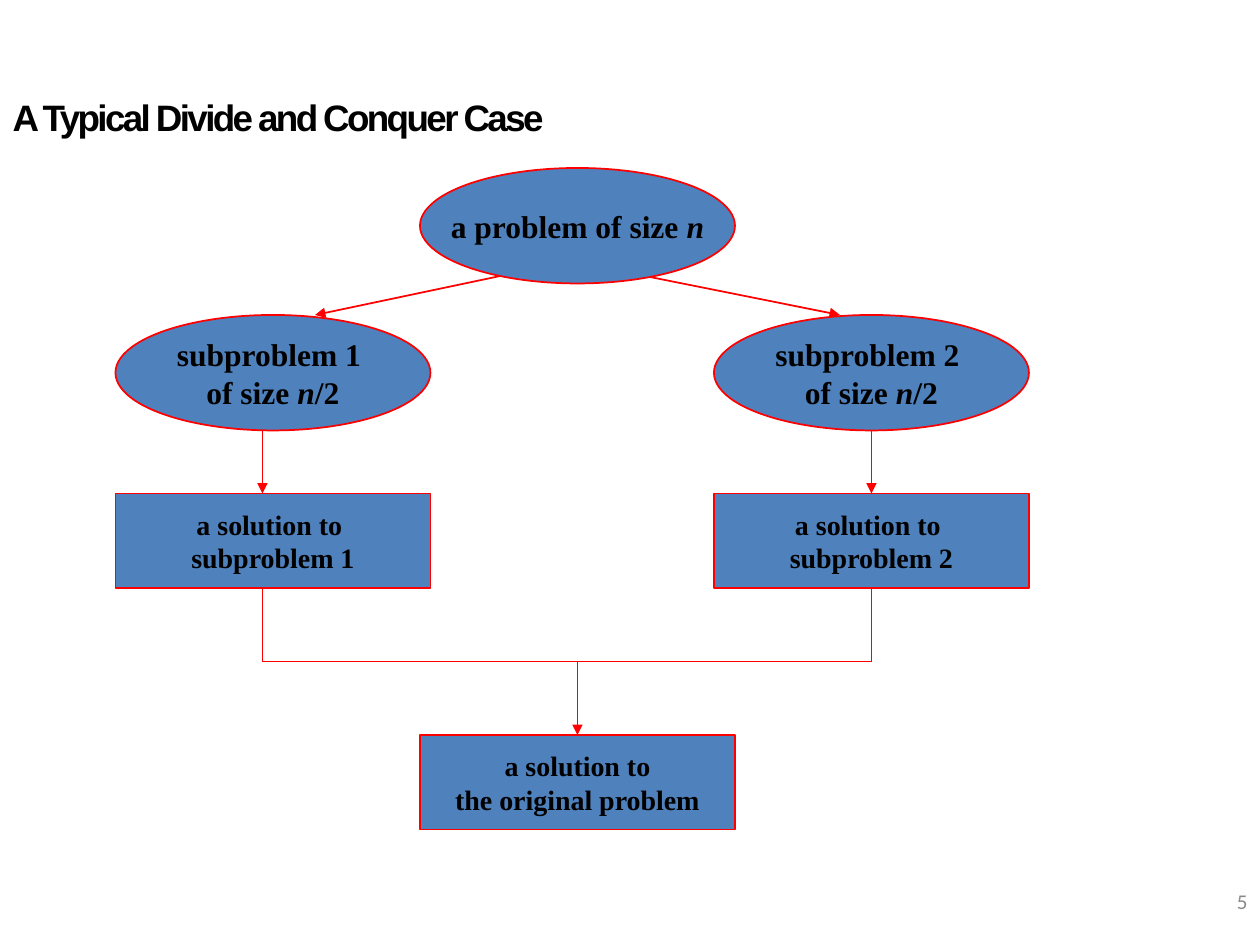
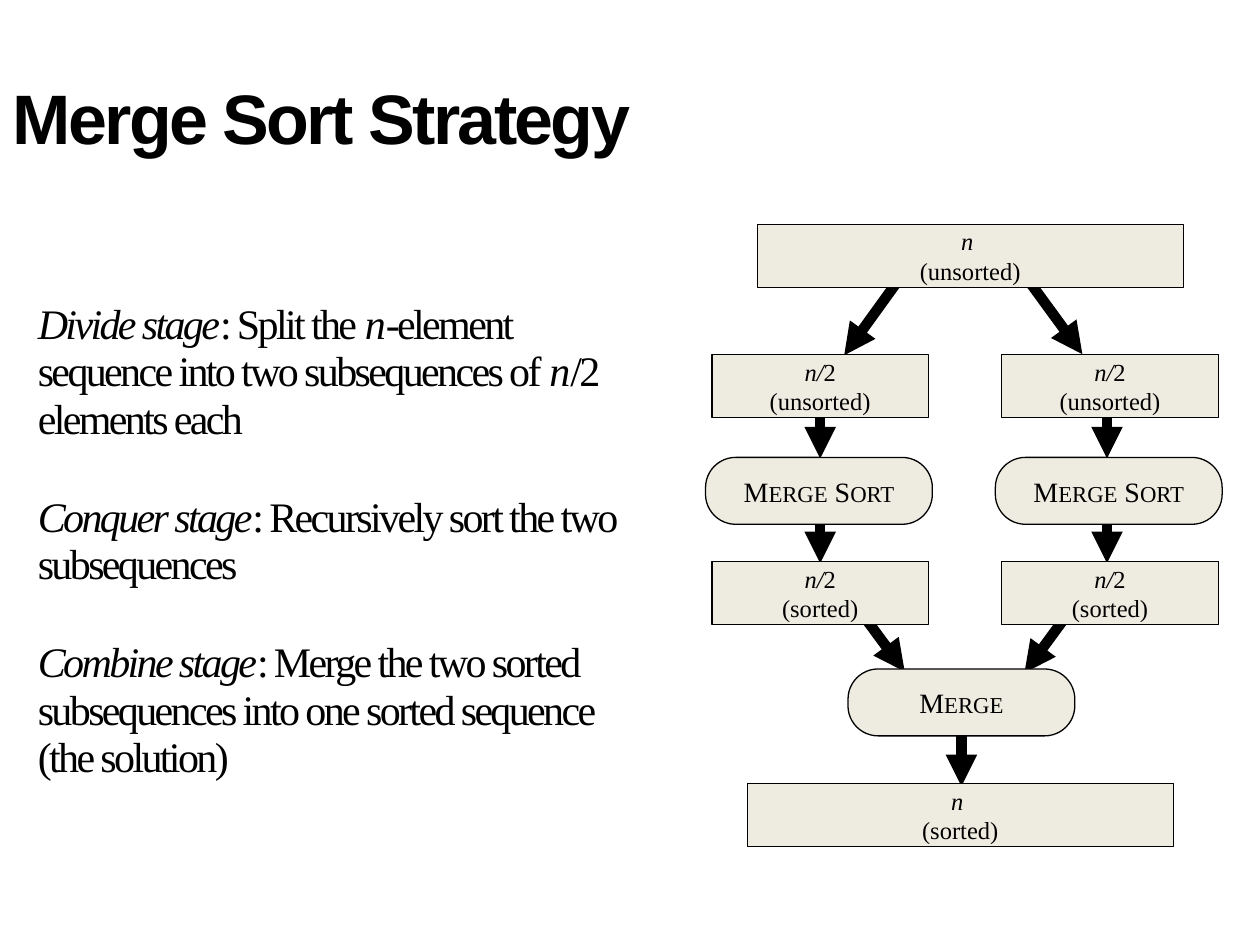
import dataclasses

import lxml.etree
import pptx
import pptx.dml.color
import pptx.enum.shapes
import pptx.enum.text
import pptx.oxml.ns
import pptx.util

Pt = pptx.util.Pt
qn = pptx.oxml.ns.qn
RGBColor = pptx.dml.color.RGBColor
Shapes = pptx.enum.shapes.MSO_SHAPE
Align = pptx.enum.text.PP_ALIGN
Anchor = pptx.enum.text.MSO_ANCHOR


@dataclasses.dataclass(frozen=True)
class Theme:
    ink: RGBColor = RGBColor(0x00, 0x00, 0x00)
    gray: RGBColor = RGBColor(0x89, 0x89, 0x89)
    blue: RGBColor = RGBColor(0x4F, 0x81, 0xBD)
    red: RGBColor = RGBColor(0xFF, 0x00, 0x00)
    cream: RGBColor = RGBColor(0xEE, 0xEC, 0xE1)
    title_font: str = "Arial"
    text_font: str = "Times New Roman"
    number_font: str = "Calibri"
    body_size: int = 24
    problem_size: int = 18
    solution_size: int = 16
    data_size: int = 14
    step_size: int = 16
    small_caps_size: int = 13
    number_size: int = 12
    tight: int = -150  # hundredths of a point


theme = Theme()


def write(text_frame, texts, size, font=theme.text_font, color=theme.ink,
          bold=False, align=Align.LEFT, small=None, spacing=None):
    """Write one paragraph per text; *marked* parts are italic, or set in the small size."""
    text_frame.vertical_anchor = Anchor.MIDDLE
    for index, text in enumerate(texts):
        paragraph = text_frame.add_paragraph() if index else text_frame.paragraphs[0]
        paragraph.alignment = align
        for part_index, part in enumerate(text.split("*")):
            marked = part_index % 2 == 1
            for line_index, line in enumerate(part.split("\n")):
                if line_index:
                    paragraph.add_line_break()
                if not line:
                    continue
                run = paragraph.add_run()
                run.text = line
                run.font.name = font
                run.font.size = Pt(small if marked and small else size)
                run.font.bold = bold
                run.font.italic = marked and small is None
                run.font.color.rgb = color
                if spacing:
                    run.font._element.set("spc", str(spacing))


presentation = pptx.Presentation()
presentation.slide_width = Pt(720)
presentation.slide_height = Pt(540)

# Slides and titles
slides = []
for layout_index, title, title_size in (
    (5, "A Typical Divide and Conquer Case", 21),
    (1, "Merge Sort Strategy", 40),
):
    slide = presentation.slides.add_slide(presentation.slide_layouts[layout_index])
    shape = slide.shapes.title
    shape.left, shape.top, shape.width, shape.height = Pt(0), Pt(21.6), Pt(648), Pt(90)
    write(shape.text_frame, [title], title_size, theme.title_font,
          bold=True, spacing=theme.tight)
    slides.append(slide)
case_slide, strategy_slide = slides

# Page number
number_box = case_slide.shapes.add_textbox(Pt(552), Pt(500.4), Pt(168), Pt(28.8))
number_box.text_frame.word_wrap = True
write(number_box.text_frame, ["5"], theme.number_size, theme.number_font,
      theme.gray, align=Align.RIGHT)

# Stages of the strategy
body = strategy_slide.placeholders[1]
body.left, body.top, body.width, body.height = Pt(14.4), Pt(115.2), Pt(362), Pt(388.8)
write(body.text_frame, [
    "*Divide stage*: Split the *n*-element sequence into two subsequences of *n*/2 elements each",
    "*Conquer stage*: Recursively sort the two subsequences",
    "*Combine stage*: Merge the two sorted subsequences into one sorted sequence (the solution)",
], theme.body_size, spacing=theme.tight)
for paragraph in body.text_frame.paragraphs:
    properties = paragraph._p.get_or_add_pPr()
    properties.set("marL", "0")
    properties.set("indent", "0")
    lxml.etree.SubElement(properties, qn("a:buNone"))
    paragraph.line_spacing = 0.94
    paragraph.space_before = Pt(0)
    paragraph.space_after = Pt(29)
body.text_frame.paragraphs[-1].space_after = Pt(0)

# Divide and conquer: lines as (x1, y1, x2, y2, arrow), nodes as (kind, left, top, texts)
case_kinds = {
    "problem": (Shapes.OVAL, 180, 66, theme.problem_size),
    "solution": (Shapes.RECTANGLE, 180, 54, theme.solution_size),
}
case_lines = [
    (294, 156, 180, 180, True),
    (360, 156, 480, 180, True),
    (150, 378, 498, 378, False),
    (330, 378, 330, 420, True),
]
case_nodes = [
    ("problem", 240, 96, ["a problem of size *n*"]),
    ("solution", 240, 420, ["a solution to", "the original problem"]),
]
for number, left, line_x in ((1, 66, 150), (2, 408, 498)):
    case_lines += [(line_x, 246, line_x, 282, True), (line_x, 336, line_x, 378, False)]
    case_nodes += [
        ("problem", left, 180, [f"subproblem {number} ", "of size *n*/2"]),
        ("solution", left, 282, ["a solution to ", f"subproblem {number}"]),
    ]

# Merge sort: two equal columns between the whole sequences
strategy_kinds = {
    "whole": (Shapes.RECTANGLE, 243.4, 36, theme.data_size),
    "half": (Shapes.RECTANGLE, 123.8, 36, theme.data_size),
    "step": (Shapes.ROUNDED_RECTANGLE, 129.6, 38.2, theme.step_size),
}
strategy_lines = [
    (512, 162, 482.4, 203, True),
    (589, 162, 618.5, 202.4, True),
    (486.7, 342.7, 517, 383.8, True),
    (615.6, 343.4, 585.4, 384.5, True),
    (549.4, 420.5, 549.4, 449.3, True),
]
strategy_nodes = [
    ("whole", 432.7, 128.2, ["*n \n*(unsorted)"]),
    ("step", 484.6, 382.3, ["M*ERGE*"]),
    ("whole", 427, 447.8, ["*n \n*(sorted)"]),
]
for left, line_x in ((406.8, 468.7), (572.4, 632.6)):
    strategy_lines += [(line_x, 239, line_x, 262, True), (line_x, 299.5, line_x, 321.8, True)]
    strategy_nodes += [
        ("half", left, 202.7, ["*n/*2\n(unsorted)"]),
        ("step", left - 3.6, 261.4, ["M*ERGE* S*ORT*"]),
        ("half", left, 321, ["*n/*2\n(sorted)"]),
    ]

# Draw both diagrams, lines behind nodes
for slide, kinds, lines, nodes, fill, outline, outline_width, line_width, bold in (
    (case_slide, case_kinds, case_lines, case_nodes, theme.blue, theme.red, 1, 1, True),
    (strategy_slide, strategy_kinds, strategy_lines, strategy_nodes,
     theme.cream, theme.ink, 0.75, 6, False),
):
    for x1, y1, x2, y2, arrow in lines:
        connector = slide.shapes.add_connector(
            pptx.enum.shapes.MSO_CONNECTOR.STRAIGHT, Pt(x1), Pt(y1), Pt(x2), Pt(y2))
        connector.line.color.rgb = outline
        connector.line.width = Pt(line_width)
        properties = connector._element.spPr
        if arrow:
            lxml.etree.SubElement(properties.find(qn("a:ln")), qn("a:tailEnd"), type="triangle")
        lxml.etree.SubElement(properties, qn("a:effectLst"))

    for kind, left, top, texts in nodes:
        preset, width, height, size = kinds[kind]
        shape = slide.shapes.add_shape(preset, Pt(left), Pt(top), Pt(width), Pt(height))
        shape.shadow.inherit = False
        shape.fill.solid()
        shape.fill.fore_color.rgb = fill
        shape.line.color.rgb = outline
        shape.line.width = Pt(outline_width)
        if kind == "step":
            shape.adjustments[0] = 0.45
        text_frame = shape.text_frame
        text_frame.word_wrap = False
        text_frame.margin_top = text_frame.margin_bottom = Pt(0.7)
        write(text_frame, texts, size, bold=bold, align=Align.CENTER,
              small=theme.small_caps_size if kind == "step" else None)

presentation.save("out.pptx")
